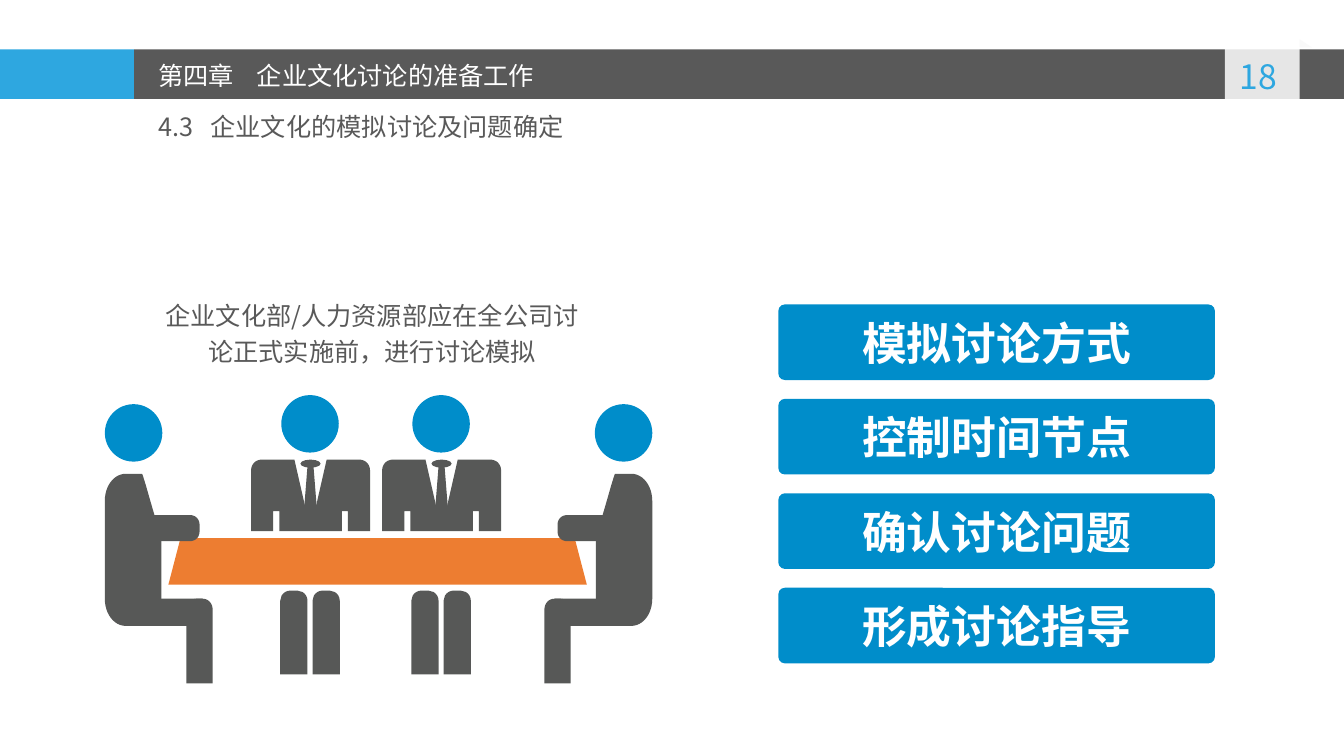
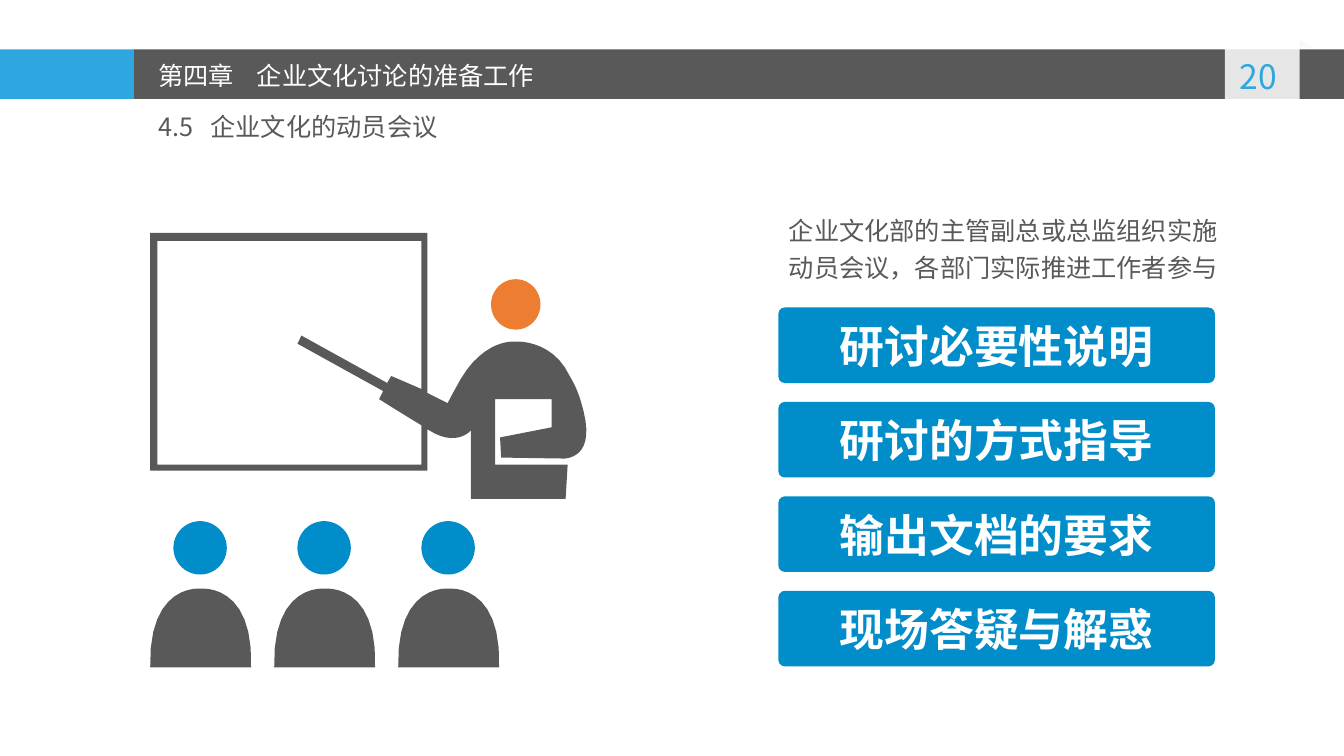
from lxml import etree
from pptx import Presentation
from pptx.dml.color import RGBColor as RGB
from pptx.enum.shapes import MSO_SHAPE as SHAPE
from pptx.enum.text import MSO_ANCHOR as ANCHOR, MSO_AUTO_SIZE as AUTO, PP_ALIGN as ALIGN
from pptx.oxml.ns import qn
from pptx.util import Inches, Pt

FONT = "Noto Sans CJK SC"
C = dict(sky="2EA7E0", gray="595959", suit="575857", blue="008DCA",
         orange="ED7D31", white="FFFFFF", pale="F8F8F8")

prs = Presentation()
prs.slide_width, prs.slide_height = Inches(13.33), Inches(7.5)


def draw(shapes, color, *contours, kind=None, box=None):
    """Add a preset in a box, or an outline: pairs are lines, sixes are Bezier curves."""
    if kind is not None:
        sp = shapes.add_shape(kind, *map(Inches, box))
    else:
        builder = None
        for start, *steps in contours:
            pts = [start]
            for step in steps:
                if len(step) == 2:
                    pts.append(step)
                    continue
                knots = [pts[-1], step[:2], step[2:4], step[4:]]
                for i in range(1, 13):
                    t = i / 12
                    w = ((1 - t) ** 3, 3 * t * (1 - t) ** 2, 3 * t * t * (1 - t), t ** 3)
                    pts.append(tuple(sum(a * k[d] for a, k in zip(w, knots)) for d in (0, 1)))
            pts = [(Inches(x), Inches(y)) for x, y in pts]
            if builder is None:
                builder = shapes.build_freeform(*pts[0], scale=1.0)
            else:
                builder.move_to(*pts[0])
            builder.add_line_segments(pts[1:], close=True)
        sp = builder.convert_to_shape()
    sp.shadow.inherit = False
    sp.fill.solid()
    sp.fill.fore_color.rgb = RGB.from_string(C[color])
    sp.line.fill.background()
    return sp


def write(sp, text, size, color, align=ALIGN.LEFT, tab=None):
    """Fill a shape with one paragraph; tab is the stop after the chapter number."""
    tf = sp.text_frame
    tf.word_wrap = True
    p = tf.paragraphs[0]
    p.text = text
    p.alignment = align
    p.font.size, p.font.name = Pt(size), FONT
    p.font.color.rgb = RGB.from_string(C[color])
    pPr = p._p.get_or_add_pPr()
    etree.SubElement(pPr.find(qn("a:defRPr")), qn("a:ea"), typeface=FONT)
    if tab:
        tabs = etree.Element(qn("a:tabLst"))
        etree.SubElement(tabs, qn("a:tab"), pos=str(Inches(tab)), algn="l")
        pPr.insert(0, tabs)
    return p


pages = [
    dict(number="18 ", topic="4.3\t企业文化的模拟讨论及问题确定",
         note="企业文化部/人力资源部应在全公司讨论正式实施前，进行讨论模拟",
         note_box=(1.47, 2.87, 4.44, 0.83), top=3.02,
         steps=["模拟讨论方式", "控制时间节点", "确认讨论问题", "形成讨论指导"]),
    dict(number="20 ", topic="4.5\t企业文化的动员会议",
         note="企业文化部的主管副总或总监组织实施动员会议，各部门实际推进工作者参与",
         note_box=(7.72, 2.03, 4.46, 0.83), top=3.05,
         steps=["研讨必要性说明", "研讨的方式指导", "输出文档的要求", "现场答疑与解惑"]),
]

for page in pages:
    s = prs.slides.add_slide(prs.slide_layouts[6])

    # Header band and page tab
    draw(s.shapes, "sky", kind=SHAPE.RECTANGLE, box=(0, 0.49, 1.33, 0.49))
    draw(s.shapes, "gray", kind=SHAPE.RECTANGLE, box=(1.33, 0.49, 12, 0.49))
    fold = draw(s.shapes, "pale", kind=SHAPE.RIGHT_TRIANGLE, box=(12.89, 0.39, 0.12, 0.08))
    tab = draw(s.shapes, "white", [(12.15, 1.09), (12.15, 0.4), (12.89, 0.4),
                                   (12.89, 1.09), (12.51, 1.03)])
    for sp, percent in ((fold, 83), (tab, 85)):
        clr = sp._element.spPr.find(qn("a:solidFill"))[0]
        etree.SubElement(clr, qn("a:alpha"), val=str(percent * 1000))

    # Page number, chapter, topic and note
    for box, text, size, color, align, stop in (
            ((12.15, 0.51, 0.74, 0.5), page["number"], 24, "sky", ALIGN.CENTER, None),
            ((1.47, 0.55, 5.04, 0.4), "第四章\t企业文化讨论的准备工作", 18, "white", ALIGN.LEFT, 0.98),
            ((1.47, 1.06, 5.31, 0.4), page["topic"], 18, "gray", ALIGN.LEFT, 0.52),
            (page["note_box"], page["note"], 18, "gray", ALIGN.CENTER, None)):
        sp = s.shapes.add_textbox(*map(Inches, box))
        p = write(sp, text, size, color, align, stop)
        sp.text_frame.auto_size = AUTO.SHAPE_TO_FIT_TEXT
    p.line_spacing, p.space_before = 1.2, Pt(6)

    # Step buttons
    for i, step in enumerate(page["steps"]):
        sp = draw(s.shapes, "blue", kind=SHAPE.ROUNDED_RECTANGLE,
                  box=(7.72, page["top"] + i * 0.937, 4.33, 0.75))
        sp.adjustments[0] = 0.087
        sp.text_frame.vertical_anchor = ANCHOR.MIDDLE
        write(sp, step, 32, "white", ALIGN.CENTER).font.bold = True

# Slide 1: discussion round a table
meeting = prs.slides[0].shapes.add_group_shape().shapes
draw(meeting, "orange", [(5.82, 5.8), (1.67, 5.8), (1.79, 5.34), (5.7, 5.34)])

# Two people behind the table, placed by their centre line
for mid in (3.08, 4.38):
    for x in (mid - 0.3, mid + 0.02):
        leg = draw(meeting, "suit", kind=SHAPE.ROUND_2_SAME_RECTANGLE, box=(x, 5.86, 0.27, 0.83))
        leg.adjustments[0] = 0.37
    draw(meeting, "blue", kind=SHAPE.OVAL, box=(mid - 0.29, 3.92, 0.57, 0.57))
    jacket = [(0.48, 4.56), (0.16, 4.56), (0, 5.26), (-0.16, 4.56), (-0.48, 4.56),
              (-0.55, 4.56, -0.59, 4.61, -0.59, 4.67),
              (-0.59, 5.27), (-0.37, 5.27), (-0.37, 5.07), (-0.31, 5.07), (-0.31, 5.27),
              (0.31, 5.27), (0.31, 5.07), (0.37, 5.07), (0.37, 5.27), (0.59, 5.27),
              (0.59, 4.67), (0.59, 4.61, 0.55, 4.56, 0.48, 4.56)]
    tie = [(0.08, 5.26), (-0.08, 5.26), (-0.03, 4.63), (0.03, 4.63)]
    for part in (jacket, tie):
        draw(meeting, "suit", [tuple(v if i % 2 else v + mid for i, v in enumerate(step))
                               for step in part])
    draw(meeting, "suit", kind=SHAPE.OVAL, box=(mid - 0.1, 4.56, 0.2, 0.08))

# Two people at the ends, the right one mirrored
arm = [(1.15, 5.37), (1.88, 5.37), (1.94, 5.37, 1.98, 5.33, 1.98, 5.27), (1.98, 5.21),
       (1.98, 5.15, 1.94, 5.11, 1.88, 5.11), (1.15, 5.11)]
shin = [(2.11, 6.78), (2.11, 6.05), (2.11, 5.99, 2.07, 5.94, 2.01, 5.94), (1.95, 5.94),
        (1.89, 5.94, 1.85, 5.99, 1.85, 6.05), (1.85, 6.78)]
thigh = [(2.01, 5.94), (1.42, 5.94), (1.38, 5.94, 1.34, 5.99, 1.34, 6.05), (1.34, 6.11),
         (1.34, 6.17, 1.38, 6.21, 1.42, 6.21), (2.01, 6.21)]
torso = [(1.41, 4.7), (1.25, 4.7), (1.13, 4.7, 1.04, 4.82, 1.04, 4.97), (1.04, 5.94),
         (1.04, 6.09, 1.13, 6.21, 1.25, 6.21), (1.39, 6.21),
         (1.51, 6.21, 1.6, 6.09, 1.6, 5.94), (1.6, 5.31), (1.55, 5.2, 1.44, 4.77, 1.41, 4.7)]
for offset, sign, head_x in ((0, 1, 1.04), (7.51, -1, 5.9)):
    for part in (arm, shin, thigh, torso):
        draw(meeting, "suit", [tuple(v if i % 2 else offset + sign * v for i, v in enumerate(step))
                               for step in part])
    draw(meeting, "blue", kind=SHAPE.OVAL, box=(head_x, 4.01, 0.57, 0.57))

# Slide 2: audience in front of a speaker
talk = prs.slides[1].shapes.add_group_shape().shapes
for i in range(3):
    x = 1.99 + i * 1.23
    draw(talk, "gray", [(x + 0.5, 6.62), (x + 0.53, 5.78, x, 5.84, x, 5.84),
                        (x, 5.84, x - 0.52, 5.78, x - 0.5, 6.62)])
    draw(talk, "blue", kind=SHAPE.OVAL, box=(x - 0.27, 5.17, 0.53, 0.53))

# Speaker with pointer and board; the second contour is the board's opening
draw(talk, "orange", kind=SHAPE.OVAL, box=(4.87, 2.77, 0.49, 0.5))
speaker = [(4.96, 4.34), (4.97, 4.54), (5.6, 4.55), (5.71, 4.54, 5.88, 4.46, 5.79, 4.09),
           (5.75, 3.93, 5.72, 3.85, 5.65, 3.73), (5.47, 3.35, 5.09, 3.39, 5.09, 3.39),
           (5.09, 3.39, 4.8, 3.37, 4.57, 3.76), (4.52, 3.85, 4.48, 3.92, 4.44, 4),
           (4.24, 3.9), (4.24, 2.31), (1.49, 2.31), (1.49, 4.67), (4.24, 4.67), (4.24, 4.26),
           (4.31, 4.3), (4.55, 4.42, 4.67, 4.27, 4.67, 4.27), (4.67, 4.95), (5.61, 4.95),
           (5.63, 4.61), (4.91, 4.61), (4.91, 3.96), (5.47, 3.96), (5.47, 4.24)]
opening = [(4.18, 4.61), (1.56, 4.61), (1.56, 2.39), (4.18, 2.39), (4.18, 3.86), (3.88, 3.73),
           (3.84, 3.8), (2.99, 3.33), (2.95, 3.41), (3.8, 3.88), (3.76, 3.96),
           (3.76, 3.96, 3.98, 4.1, 4.18, 4.22)]
draw(talk, "gray", speaker, opening)

prs.save("out.pptx")
